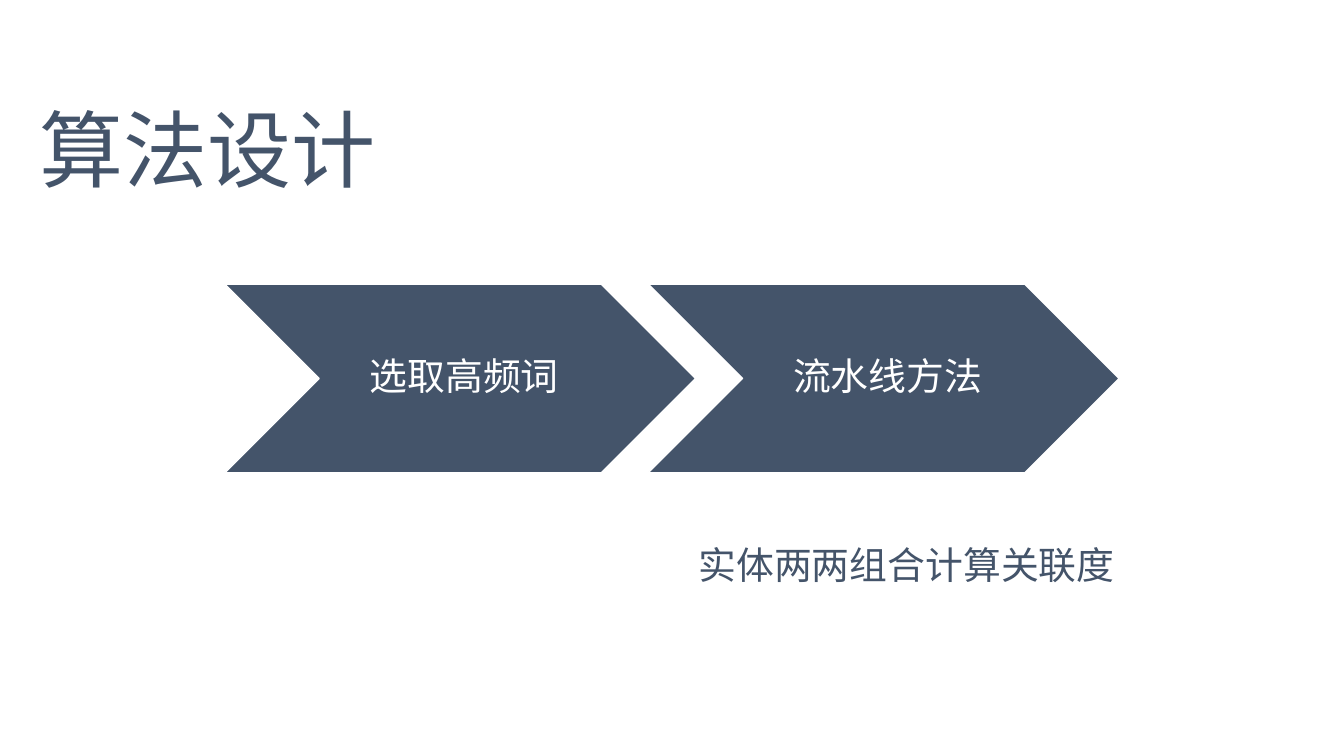
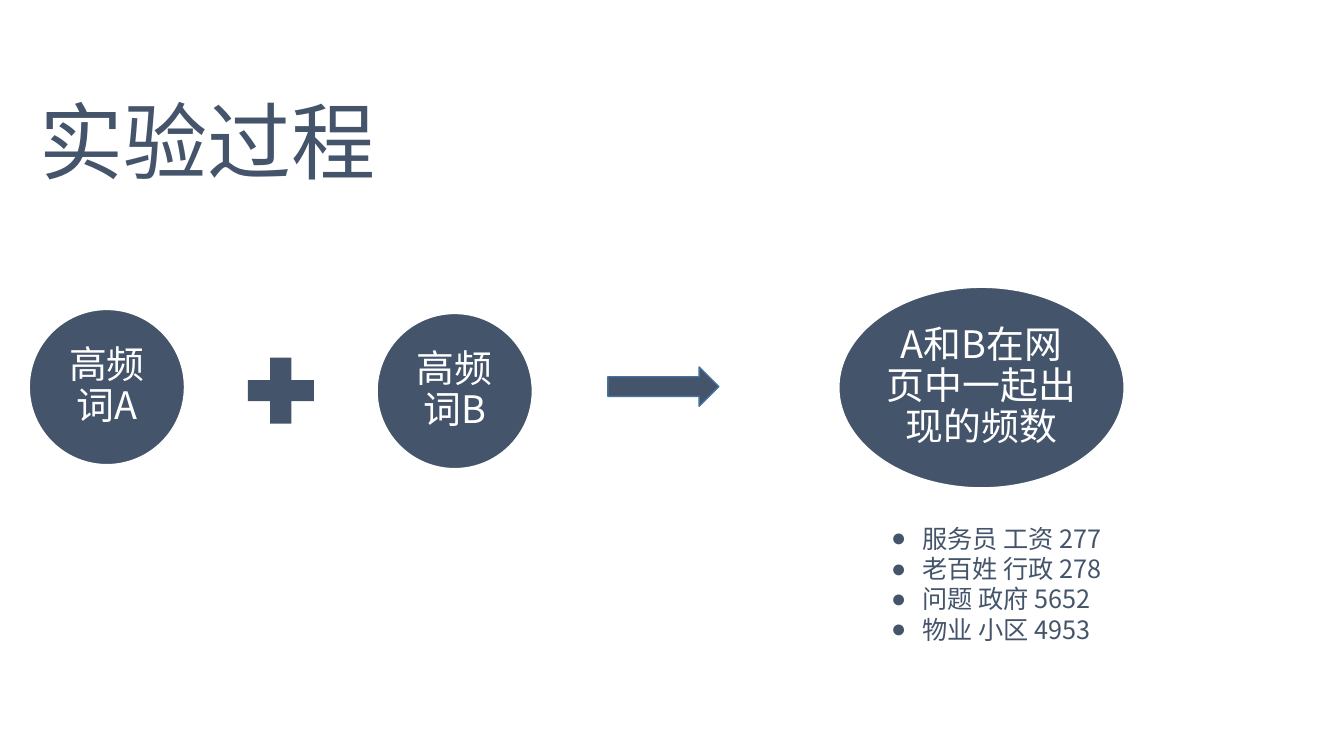
from pptx import Presentation
from pptx.dml.color import RGBColor
from pptx.enum.shapes import MSO_SHAPE
from pptx.enum.text import MSO_ANCHOR, PP_ALIGN
from pptx.oxml.ns import qn
from pptx.util import Inches, Pt
from lxml.etree import SubElement

FACE = "Noto Sans CJK SC"
NAVY, WHITE, BLUE = "44546A", "FFFFFF", "43739E"

STEPS = ["选取高频词", "流水线方法"]
NOTE = "实体两两组合计算关联度"
WORDS = [("高频词A", 0.29, 3.07), ("高频词B", 3.74, 3.11)]
RESULT = "A和B在网页中一起出现的频数"
COUNTS = [
    ("服务员", "工资", 277),
    ("老百姓", "行政", 278),
    ("问题", "政府", 5652),
    ("物业", "小区", 4953),
]


def color(code):
    return RGBColor.from_string(code)


def apply(item, values):
    for name, value in values.items():
        setattr(item, name, value)


def write(frame, lines, size, code, form=None, bullet=False):
    frame.word_wrap = True
    for i, line in enumerate(lines):
        para = frame.paragraphs[0] if i == 0 else frame.add_paragraph()
        apply(para, form or {})
        if bullet:
            props = para._p.get_or_add_pPr()
            props.set("marL", str(Inches(0.31)))
            props.set("indent", str(-Inches(0.31)))
            SubElement(props, qn("a:buFont")).set("typeface", "Arial")
            SubElement(props, qn("a:buChar")).set("char", "●")
        run = para.add_run()
        run.text = line
        apply(run.font, {"name": FACE, "size": Pt(size)})
        run.font.color.rgb = color(code)
        SubElement(run._r.get_or_add_rPr(), qn("a:ea")).set("typeface", FACE)


def label(slide, box, lines, size, bullet=False):
    area = slide.shapes.add_textbox(*map(Inches, box))
    write(area.text_frame, lines, size, NAVY, bullet=bullet)


def block(slide, kind, box, text="", edge=WHITE, left=0.04):
    shape = slide.shapes.add_shape(kind, *map(Inches, box))
    shape.shadow.inherit = False
    shape.fill.solid()
    shape.fill.fore_color.rgb = color(NAVY)
    if edge:
        shape.line.color.rgb = color(edge)
        shape.line.width = Pt(1)
    else:
        shape.line.fill.background()
    if text:
        frame = shape.text_frame
        pad = Inches(0.04)
        apply(frame, {
            "margin_left": Inches(left), "margin_right": pad,
            "margin_top": pad, "margin_bottom": pad,
            "vertical_anchor": MSO_ANCHOR.MIDDLE,
        })
        form = {"alignment": PP_ALIGN.CENTER, "line_spacing": 0.9}
        write(frame, [text], 27, WHITE, form)


def page(deck, title, top):
    slide = deck.slides.add_slide(deck.slide_layouts[6])
    label(slide, (0.29, top, 3.62, 1.11), [title], 60)
    return slide


def design(deck):
    slide = page(deck, "算法设计", 0.92)
    for i, step in enumerate(STEPS):
        box = (2.23 + i * 4.2, 2.82, 4.67, 1.87)
        block(slide, MSO_SHAPE.CHEVRON, box, step, left=0.12)
    label(slide, (6.83, 5.32, 4.48, 0.56), [NOTE], 27)


def trial(deck):
    slide = page(deck, "实验过程", 0.84)
    for word, left, top in WORDS:
        block(slide, MSO_SHAPE.OVAL, (left, top, 1.54, 1.54), word)
    block(slide, MSO_SHAPE.MATH_PLUS, (2.34, 3.43, 0.89, 0.89), edge=None)
    block(slide, MSO_SHAPE.RIGHT_ARROW, (6.03, 3.64, 1.1, 0.39), edge=BLUE)
    block(slide, MSO_SHAPE.OVAL, (8.32, 2.85, 2.83, 1.99), RESULT)
    lines = [f"{a} {b} {count}" for a, b, count in COUNTS]
    label(slide, (8.74, 5.14, 2.66, 1.31), lines, 18, bullet=True)


def main():
    deck = Presentation()
    apply(deck, {"slide_width": Inches(13.33), "slide_height": Inches(7.5)})
    design(deck)
    trial(deck)
    deck.save("out.pptx")


if __name__ == "__main__":
    main()
